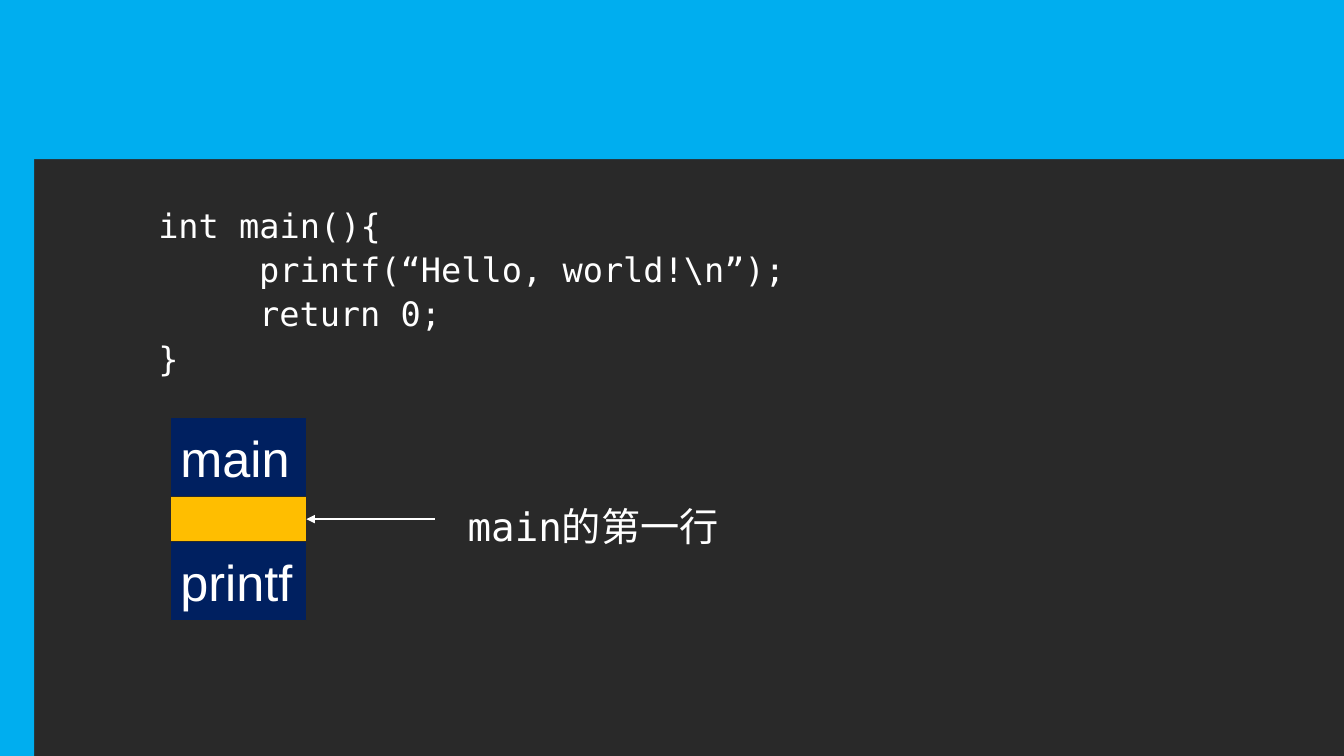
import pptx
import pptx.dml.color
import pptx.enum.shapes
import pptx.enum.text
import pptx.oxml.ns
import pptx.util
import lxml.etree

Inches = pptx.util.Inches
Pt = pptx.util.Pt
RECTANGLE = pptx.enum.shapes.MSO_SHAPE.RECTANGLE
COLORS = {"background": "292929", "band": "00AEEF", "frame": "002060",
          "gap": "FFBE00", "text": "FFFFFF"}
CODE_FONT = "DejaVu Sans Mono"
WIDTH, HEIGHT = 13.33, 7.5


def color(name):
    return pptx.dml.color.RGBColor.from_string(COLORS[name])


def format_runs(paragraph, font_name, size):
    for run in paragraph.runs:
        run.font.name = font_name
        run.font.size = Pt(size)
        run.font.color.rgb = color("text")


presentation = pptx.Presentation()
presentation.slide_width = Inches(WIDTH)
presentation.slide_height = Inches(HEIGHT)
slide = presentation.slides.add_slide(presentation.slide_layouts[6])
slide.background.fill.solid()
slide.background.fill.fore_color.rgb = color("background")

# Bands along the left and top edges
for band_width, band_height in [(0.34, HEIGHT), (WIDTH, 1.58)]:
    band = slide.shapes.add_shape(RECTANGLE, 0, 0, Inches(band_width), Inches(band_height))
    band.shadow.inherit = False
    band.fill.solid()
    band.fill.fore_color.rgb = color("band")
    band.line.fill.background()

# Code listing: each line with its indent level, one inch per level
code_lines = [(1, "int main(){"), (2, "printf(“Hello, world!\\n”);"),
              (2, "return 0;"), (1, "}")]
code_box = slide.shapes.add_textbox(Inches(0.57), Inches(2.08), Inches(12.2), Inches(1.7))
code_frame = code_box.text_frame
code_frame.word_wrap = True
code_frame.margin_left = code_frame.margin_right = 0
code_frame.margin_top = code_frame.margin_bottom = 0
code_frame.text = "\n".join(line for level, line in code_lines)
for paragraph, (level, line) in zip(code_frame.paragraphs, code_lines):
    paragraph.line_spacing = 0.9
    paragraph.space_before = Pt(5.6)
    paragraph._p.get_or_add_pPr().set("marL", str(Inches(level)))
    format_runs(paragraph, CODE_FONT, 24)

# Call stack: blocks piled from top to bottom
stack_left, stack_width = 1.69, 1.35
block_top = 4.14
for label, fill_name, block_height in [("main", "frame", 0.79), ("", "gap", 0.44),
                                       ("printf", "frame", 0.79)]:
    block = slide.shapes.add_shape(RECTANGLE, Inches(stack_left), Inches(block_top),
                                   Inches(stack_width), Inches(block_height))
    block.shadow.inherit = False
    block.fill.solid()
    block.fill.fore_color.rgb = color(fill_name)
    block.line.color.rgb = color("background")
    block.line.width = Pt(0.75)
    if label:
        block.text_frame.text = label
        block.text_frame.word_wrap = True
        block.text_frame.vertical_anchor = pptx.enum.text.MSO_ANCHOR.MIDDLE
        paragraph = block.text_frame.paragraphs[0]
        paragraph.alignment = pptx.enum.text.PP_ALIGN.LEFT
        format_runs(paragraph, "Arial", 36)
    block_top += block_height

# Arrow from the note to the middle block
arrow_y = Inches(5.15)
arrow = slide.shapes.add_connector(pptx.enum.shapes.MSO_CONNECTOR.STRAIGHT, Inches(4.31),
                                   arrow_y, Inches(stack_left + stack_width), arrow_y)
arrow.line.color.rgb = color("text")
arrow.line.width = Pt(1.5)
lxml.etree.SubElement(arrow.line._get_or_add_ln(), pptx.oxml.ns.qn("a:tailEnd"),
                      type="triangle")
lxml.etree.SubElement(arrow._element.spPr, pptx.oxml.ns.qn("a:effectLst"))

note_box = slide.shapes.add_textbox(Inches(4.54), Inches(4.93), Inches(3.65), Inches(0.57))
note_box.text_frame.word_wrap = True
note_box.text_frame.text = "main的第一行"
format_runs(note_box.text_frame.paragraphs[0], CODE_FONT, 28)

presentation.save("out.pptx")
